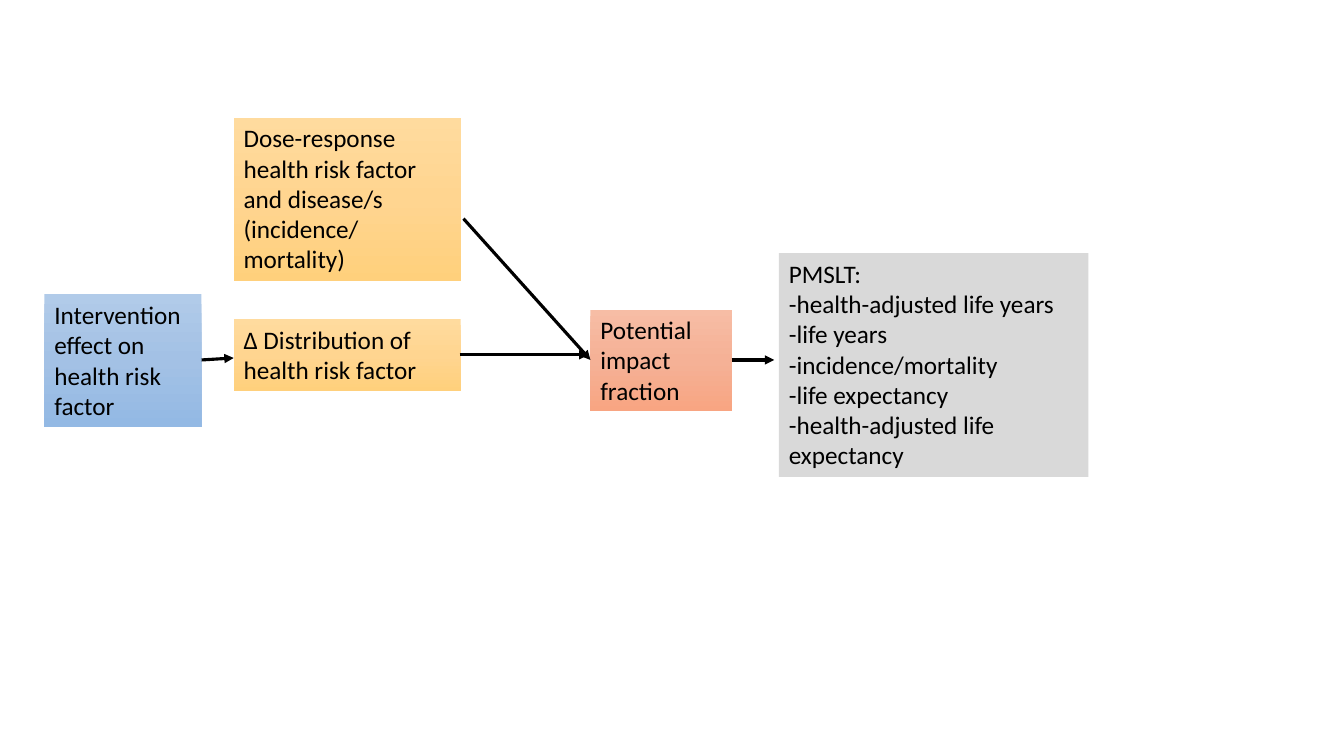
from copy import deepcopy
from dataclasses import dataclass

from lxml.etree import SubElement
from pptx import Presentation
from pptx.dml.color import RGBColor as Rgb
from pptx.enum.shapes import MSO_CONNECTOR as Link
from pptx.enum.text import MSO_AUTO_SIZE as AutoSize
from pptx.oxml.ns import qn
from pptx.util import Cm, Pt


@dataclass(frozen=True)
class Theme:
    """Colours and type sizes of the flow diagram."""
    font: str = "Calibri"
    size: float = 18
    ink: str = "000000"
    arrow_width: float = 2.25
    intervention: tuple = ("B1CBE9", "A3C1E5", "93B9E4")
    evidence: tuple = ("FFDB9E", "FFD590", "FFD07C")
    fraction: tuple = ("F7BDA5", "F5B196", "F8A582")
    outcomes: tuple = ("D9D9D9",)


THEME = Theme()

# Left, top, width, height in cm; fill; paragraphs
STEPS = [
    ((1.12, 7.42, 3.96, 3.33), THEME.intervention,
     ["Intervention effect on health risk factor"]),
    ((5.89, 8.05, 5.72, 1.8), THEME.evidence,
     ["Δ Distribution of health risk factor"]),
    ((5.89, 2.97, 5.74, 4.11), THEME.evidence,
     ["Dose-response health risk factor and disease/s (incidence/",
      "mortality)"]),
    ((14.88, 7.8, 3.58, 2.57), THEME.fraction,
     ["Potential impact fraction"]),
    ((19.63, 6.38, 7.8, 5.64), THEME.outcomes,
     ["PMSLT:", "-health-adjusted life years", "-life years",
      "-incidence/mortality", "-life expectancy",
      "-health-adjusted life expectancy"]),
]

# Start x, start y, end x, end y in cm
FLOWS = [
    (5.08, 9.07, 5.89, 9.02),
    (11.68, 5.51, 14.88, 9.07),
    (11.58, 8.94, 14.83, 8.94),
    (18.44, 9.07, 19.51, 9.07),
]


def apply_format(target, values):
    """Set each named attribute of target."""
    for name, value in values.items():
        setattr(target, name, value)


def paint(step, colours):
    """Fill a step with one colour, or with a downward three-stop gradient."""
    fill = step.fill
    if len(colours) == 1:
        fill.solid()
        fill.fore_color.rgb = Rgb.from_string(colours[0])
        return
    fill.gradient()
    fill.gradient_angle = 270
    stop_list = step._element.spPr.find(".//" + qn("a:gsLst"))
    stop_list.insert(1, deepcopy(stop_list[0]))
    for stop, position, colour in zip(fill.gradient_stops, (0, 0.5, 1), colours):
        stop.position = position
        stop.color.rgb = Rgb.from_string(colour)


def add_step(slide, bounds, colours, paragraphs):
    """Add a filled text box for one step of the flow."""
    step = slide.shapes.add_textbox(*map(Cm, bounds))
    paint(step, colours)
    frame = step.text_frame
    frame.text = "\n".join(paragraphs)
    apply_format(frame, {"word_wrap": True,
                         "auto_size": AutoSize.SHAPE_TO_FIT_TEXT})
    for paragraph in frame.paragraphs:
        font = paragraph.runs[0].font
        apply_format(font, {"name": THEME.font, "size": Pt(THEME.size)})
        font.color.rgb = Rgb.from_string(THEME.ink)


def add_flow(slide, ends):
    """Add an arrow leading from one step to the next."""
    flow = slide.shapes.add_connector(Link.STRAIGHT, *map(Cm, ends))
    flow.line.width = Pt(THEME.arrow_width)
    flow.line.color.rgb = Rgb.from_string(THEME.ink)
    properties = flow._element.spPr
    SubElement(properties.find(qn("a:ln")), qn("a:tailEnd"), type="triangle")
    SubElement(properties, qn("a:effectLst"))


def main():
    """Build and save the slide."""
    deck = Presentation()
    apply_format(deck, {"slide_width": Cm(33.87), "slide_height": Cm(19.05)})
    slide = deck.slides.add_slide(deck.slide_layouts[6])
    for bounds, colours, paragraphs in STEPS:
        add_step(slide, bounds, colours, paragraphs)
    for ends in FLOWS:
        add_flow(slide, ends)
    deck.save("out.pptx")


main()
